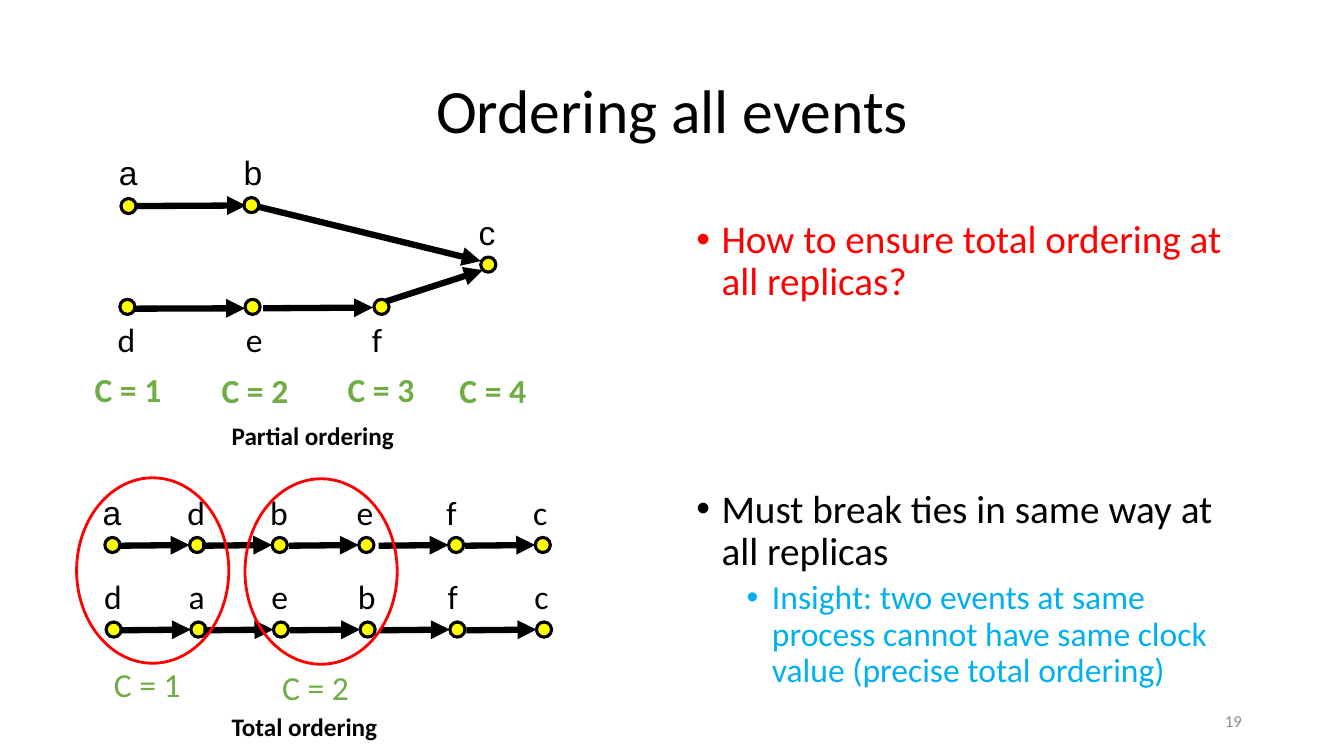
from itertools import pairwise
from lxml import etree
from pptx import Presentation
from pptx.dml.color import RGBColor
from pptx.enum.shapes import MSO_CONNECTOR as Line, MSO_SHAPE as Preset
from pptx.enum.text import MSO_ANCHOR as Anchor, MSO_AUTO_SIZE as Fit, PP_ALIGN as Align
from pptx.oxml.ns import qn
from pptx.util import Pt

BLACK, RED, YELLOW = "000000", "FF0000", "FFFF00"
GREEN, BLUE, GREY = "70AD47", "00B0F0", "8C8C8C"

TITLE = "Ordering all events"
PAGE = "19"
POINTS = [
    ("How to ensure total ordering at all replicas?", 28, RED, 18, 0),
    ("Must break ties in same way at all replicas", 28, BLACK, 18, 132),
    ("Insight: two events at same process cannot have same clock value "
     "(precise total ordering)", 24, BLUE, 54, 5),
]
PARTIAL_EVENTS = [
    ("a", 91.8, 147.2, 77.8, 105.1, "Arial"),
    ("b", 179.6, 146.5, 167, 105.1, "Arial"),
    ("c", 348.8, 189, 334.8, 147.6, "Arial"),
    ("d", 91, 219.2, 77, 224.6, "Calibri"),
    ("e", 180.4, 219.2, 168.5, 223.9, "Calibri"),
    ("f", 272.5, 219.2, 258.5, 223.9, "Calibri"),
]
PARTIAL_ARROWS = [
    (97.2, 147.2, 175.7, 146.8),
    (184.3, 147.6, 343.4, 186.5),
    (96.5, 220.5, 175, 220.2),
    (187.9, 220.2, 266.4, 219.7),
    (275.8, 215.3, 344.9, 193),
]
PARTIAL_CLOCKS = [("C = 1", 60.5, 259.9), ("C = 2", 151.2, 260.6),
                  ("C = 3", 241.2, 259.9), ("C = 4", 321.1, 260.6)]
TOTAL_ORDERS = [("adbefc", 0, 389.3), ("daebfc", 0.9, 449.7)]
TOTAL_CENTRES = [80.3, 140.8, 199.8, 261.7, 325.8, 387.7]
TIES = [("C = 1", 54.7, 341.3, 74.2, 470.9), ("C = 2", 175, 342, 194.4, 473)]
CAPTIONS = [("Partial ordering", 296.6), ("Total ordering", 504.7)]

LABEL_WIDTHS = {"a": 28.1, "b": 29.5, "c": 28.1, "d": 29.5, "e": 28.1, "f": 22.3}
DOT = 10.8
ARROW = 50

deck = Presentation()
deck.slide_width, deck.slide_height = Pt(960), Pt(540)
slide = deck.slides.add_slide(deck.slide_layouts[6])
shapes = slide.shapes


def rgb(value):
    return RGBColor.from_string(value)


def style(paragraph, size, color, font="Calibri", bold=False):
    face = paragraph.font
    face.size, face.name, face.bold = Pt(size), font, bold
    face.color.rgb = rgb(color)


def frame_at(left, top, width, height, wrap=True, anchor=Anchor.TOP):
    frame = shapes.add_textbox(Pt(left), Pt(top), Pt(width), Pt(height)).text_frame
    frame.word_wrap = wrap
    frame.vertical_anchor = anchor
    return frame


def label(text, left, top, width, size=24, color=BLACK, font="Calibri",
          bold=False, wrap=False):
    frame = frame_at(left, top, width, size * 1.2 + 7.2, wrap)
    frame.auto_size = Fit.SHAPE_TO_FIT_TEXT
    frame.text = text
    style(frame.paragraphs[0], size, color, font, bold)


def ellipse(left, top, width, height, line, weight, fill=None):
    oval = shapes.add_shape(Preset.OVAL, Pt(left), Pt(top), Pt(width), Pt(height))
    oval.shadow.inherit = False
    if fill:
        oval.fill.solid()
        oval.fill.fore_color.rgb = rgb(fill)
    else:
        oval.fill.background()
    oval.line.color.rgb = rgb(line)
    oval.line.width = Pt(weight)


def event(name, x, y, label_left, label_top, font="Calibri"):
    ellipse(x - DOT / 2, y - DOT / 2, DOT, DOT, BLACK, 2.25, YELLOW)
    label(name, label_left, label_top, LABEL_WIDTHS[name], font=font)


def arrow(x1, y1, x2, y2):
    link = shapes.add_connector(Line.STRAIGHT, Pt(x1), Pt(y1), Pt(x2), Pt(y2))
    link.line.color.rgb = rgb(BLACK)
    link.line.width = Pt(4.5)
    etree.SubElement(link.line._ln, qn("a:tailEnd"), type="triangle")
    etree.SubElement(link._element.spPr, qn("a:effectLst"))


heading = frame_at(66.2, 28.8, 828, 104.4, anchor=Anchor.MIDDLE)
heading.text = TITLE
heading.paragraphs[0].alignment = Align.CENTER
heading.paragraphs[0].line_spacing = 0.9
style(heading.paragraphs[0], 44, BLACK)

body = frame_at(490.3, 153.4, 403.9, 342.7)
for index, (text, size, color, margin, gap) in enumerate(POINTS):
    point = body.add_paragraph() if index else body.paragraphs[0]
    point.text = text
    point.line_spacing = 0.9
    point.space_before = Pt(gap)
    props = point._p.get_or_add_pPr()
    props.set("marL", str(Pt(margin)))
    props.set("indent", str(Pt(-18)))
    etree.SubElement(props, qn("a:buFont"), typeface="Arial")
    etree.SubElement(props, qn("a:buChar"), char="•")
    style(point, size, color)

for partial_event in PARTIAL_EVENTS:
    event(*partial_event)
for partial_arrow in PARTIAL_ARROWS:
    arrow(*partial_arrow)
for clock, left, top in PARTIAL_CLOCKS:
    label(clock, left, top, 62.6, color=GREEN, bold=True)

for order, shift, y in TOTAL_ORDERS:
    centres = [x + shift for x in TOTAL_CENTRES]
    for name, x in zip(order, centres):
        font = "Arial" if (name, shift) == ("a", 0) else "Calibri"
        event(name, x, y, x - 14, y - 41.5, font)
    for _, x in pairwise(centres):
        tip = x - DOT / 2
        arrow(tip - ARROW, y + 0.5, tip, y)

for clock, left, top, clock_left, clock_top in TIES:
    ellipse(left, top, 108.7, 132.5, RED, 2)
    label(clock, clock_left, clock_top, 73.4, color=GREEN)
for caption, top in CAPTIONS:
    label(caption, 158.4, top, 154.1, size=18, bold=True, wrap=True)

number = frame_at(678.2, 500.4, 216, 28.8, anchor=Anchor.MIDDLE)
number.text = PAGE
number.paragraphs[0].alignment = Align.RIGHT
style(number.paragraphs[0], 12, GREY)

deck.save("out.pptx")
